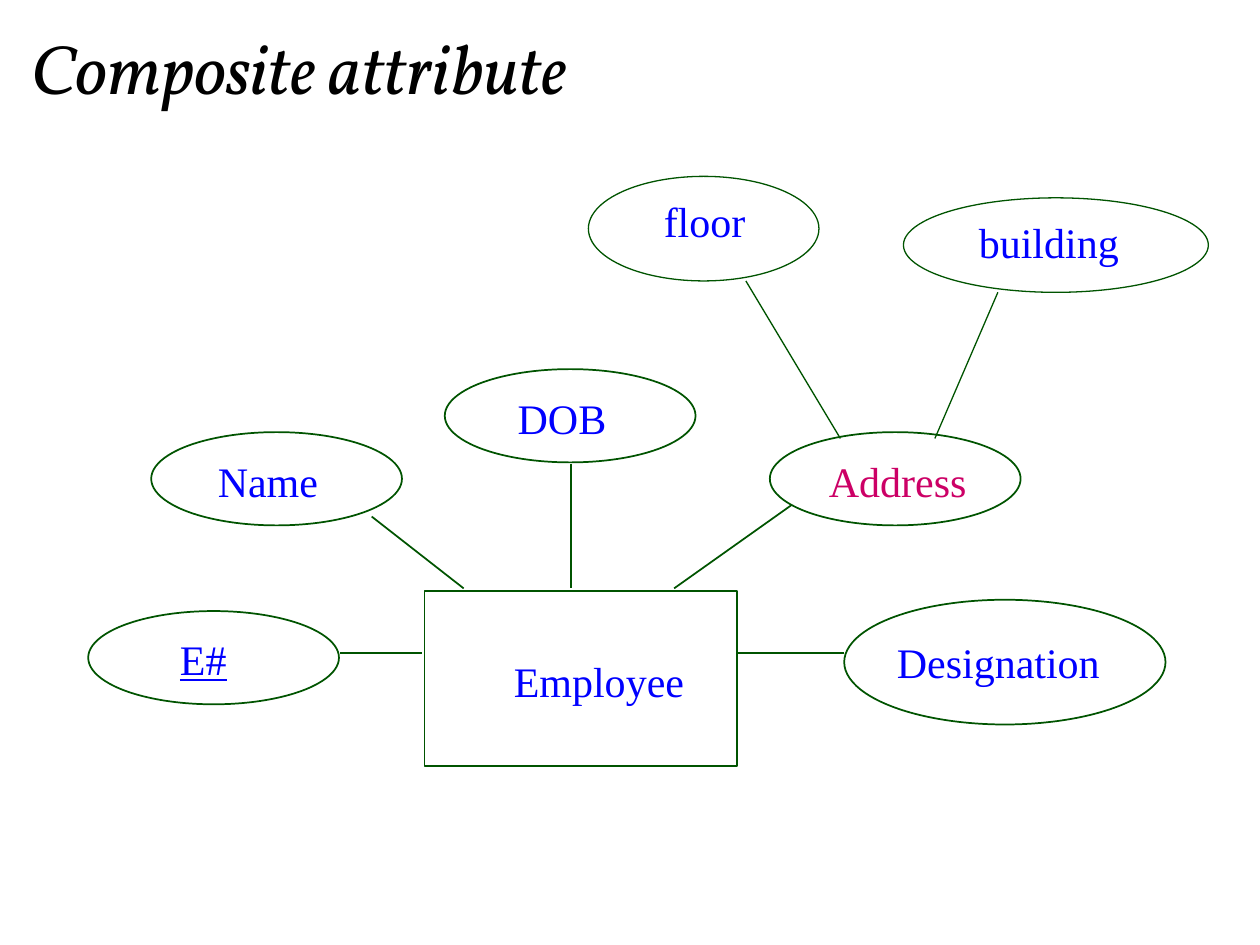
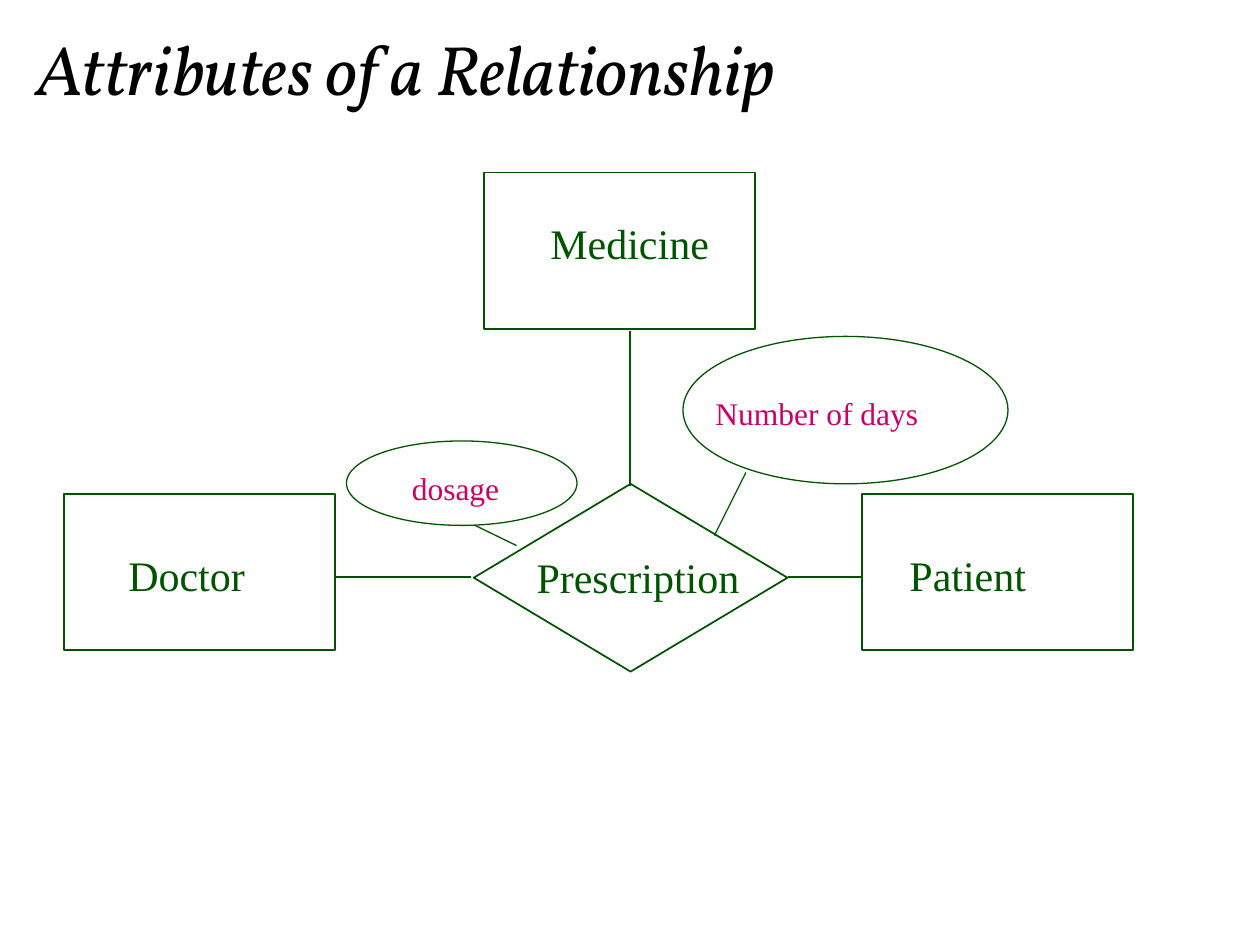
from dataclasses import dataclass

from lxml import etree
from pptx import Presentation
from pptx.dml.color import RGBColor
from pptx.enum.shapes import MSO_CONNECTOR, MSO_SHAPE
from pptx.enum.text import MSO_ANCHOR, MSO_AUTO_SIZE, PP_ALIGN
from pptx.oxml.ns import qn
from pptx.util import Inches, Pt

# Shared look
BLACK = RGBColor(0x00, 0x00, 0x00)
GREEN = RGBColor(0x00, 0x54, 0x00)
BLUE = RGBColor(0x00, 0x00, 0xFF)
PINK = RGBColor(0xCC, 0x00, 0x66)
TITLE_FONT = {"name": "Vollkorn", "size": Pt(40), "italic": True, "bold": False}
LABEL_FONT = "Times New Roman"
NORMAL, THIN = 1, 0.75
TITLE_ONLY = 5

RECTANGLE = MSO_SHAPE.RECTANGLE
ELLIPSE = MSO_SHAPE.OVAL
DIAMOND = MSO_SHAPE.DIAMOND
STRAIGHT = MSO_CONNECTOR.STRAIGHT
MIDDLE = MSO_ANCHOR.MIDDLE
LEFT = PP_ALIGN.LEFT
NO_FIT = MSO_AUTO_SIZE.NONE
GROW = MSO_AUTO_SIZE.SHAPE_TO_FIT_TEXT


@dataclass
class Label:
    text: str
    left: float
    top: float
    width: float
    color: RGBColor
    size: int = 24
    wrap: bool = False
    underline: bool = False


@dataclass
class Node:
    kind: MSO_SHAPE
    left: float
    top: float
    width: float
    height: float
    label: Label
    weight: float = NORMAL


@dataclass
class Link:
    start: tuple[float, float]
    end: tuple[float, float]
    weight: float = NORMAL


@dataclass
class Diagram:
    title: str
    title_left: float
    title_top: float
    nodes: list[Node]
    links: list[Link]


def attribute(left: float, top: float, label: Label) -> Node:
    """An ellipse of the standard attribute size."""
    return Node(ELLIPSE, left, top, 1.99, 0.74, label)


def entity(left: float, top: float, label: Label) -> Node:
    """A rectangle of the standard entity size."""
    return Node(RECTANGLE, left, top, 2.15, 1.24, label)


COMPOSITE = Diagram(
    "Composite attribute", 0.25, 0.25,
    nodes=[
        Node(RECTANGLE, 3.37, 4.69, 2.48, 1.39, Label("Employee", 3.98, 5.15, 1.56, BLUE)),
        attribute(1.2, 3.43, Label("Name", 1.63, 3.57, 1.01, BLUE)),
        attribute(0.7, 4.85, Label("E#", 1.33, 4.98, 0.58, BLUE, underline=True)),
        Node(ELLIPSE, 6.7, 4.76, 2.55, 0.99,
             Label("Designation", 7.02, 5, 2.14, BLUE, wrap=True)),
        attribute(3.53, 2.93, Label("DOB", 4.01, 3.07, 0.92, BLUE)),
        attribute(6.11, 3.43, Label("Address", 6.48, 3.57, 1.3, PINK)),
        Node(ELLIPSE, 4.67, 1.4, 1.83, 0.83,
             Label("floor", 5.17, 1.5, 1.17, BLUE, wrap=True), THIN),
        Node(ELLIPSE, 7.17, 1.57, 2.42, 0.75,
             Label("building", 7.67, 1.67, 1.58, BLUE, wrap=True), THIN),
    ],
    links=[
        Link((2.7, 5.18), (3.35, 5.18)),
        Link((2.95, 4.1), (3.68, 4.67)),
        Link((4.53, 3.68), (4.53, 4.67)),
        Link((6.28, 4.01), (5.35, 4.67)),
        Link((6.7, 5.18), (5.85, 5.18)),
        Link((5.92, 2.23), (6.67, 3.48), THIN),
        Link((7.92, 2.32), (7.42, 3.48), THIN),
    ],
)

RELATIONSHIP = Diagram(
    "Attributes of a Relationship", 0.29, 0.26,
    nodes=[
        entity(0.51, 3.92, Label("Doctor", 0.92, 4.31, 1.14, GREEN)),
        entity(6.84, 3.92, Label("Patient", 7.12, 4.31, 1.14, GREEN)),
        entity(3.84, 1.37, Label("Medicine", 4.27, 1.68, 1.47, GREEN)),
        Node(DIAMOND, 3.76, 3.84, 2.49, 1.49,
             Label("Prescription", 4.16, 4.33, 1.82, GREEN)),
        Node(ELLIPSE, 2.75, 3.5, 1.83, 0.67,
             Label("dosage", 3.17, 3.67, 1.17, PINK, 18, wrap=True), THIN),
        Node(ELLIPSE, 5.42, 2.67, 2.58, 1.17,
             Label("Number of days", 5.58, 3.08, 2.17, PINK, 18, wrap=True), THIN),
    ],
    links=[
        Link((5, 2.63), (5, 3.86)),
        Link((2.67, 4.58), (3.74, 4.58)),
        Link((6.25, 4.58), (6.83, 4.58)),
        Link((3.77, 4.17), (4.1, 4.33), THIN),
        Link((5.67, 4.25), (5.92, 3.75), THIN),
    ],
)


def format_font(font, values: dict, color: RGBColor) -> None:
    for name, value in values.items():
        setattr(font, name, value)
    font.color.rgb = color


def draw_outline(line, weight: float) -> None:
    line.color.rgb = GREEN
    line.width = Pt(weight)


def draw_title(page, diagram: Diagram) -> None:
    title = page.shapes.title
    title.left, title.top = Inches(diagram.title_left), Inches(diagram.title_top)
    title.width, title.height = Inches(9.38), Inches(0.56)
    frame = title.text_frame
    frame.text = diagram.title
    frame.auto_size = NO_FIT
    frame.vertical_anchor = MIDDLE
    frame.margin_left = 0
    para = frame.paragraphs[0]
    para.alignment = LEFT
    format_font(para.runs[0].font, TITLE_FONT, BLACK)


def draw_label(page, label: Label) -> None:
    height = 0.5 if label.size == 24 else 0.4
    box = page.shapes.add_textbox(Inches(label.left), Inches(label.top),
                                  Inches(label.width), Inches(height))
    frame = box.text_frame
    frame.text = label.text
    frame.word_wrap = label.wrap
    frame.auto_size = GROW
    values = {"name": LABEL_FONT, "size": Pt(label.size), "underline": label.underline}
    format_font(frame.paragraphs[0].runs[0].font, values, label.color)


def draw_node(page, node: Node) -> None:
    shape = page.shapes.add_shape(node.kind, Inches(node.left), Inches(node.top),
                                  Inches(node.width), Inches(node.height))
    shape.shadow.inherit = False
    shape.fill.background()
    draw_outline(shape.line, node.weight)
    draw_label(page, node.label)


def draw_link(page, link: Link) -> None:
    points = [Inches(value) for value in (*link.start, *link.end)]
    connector = page.shapes.add_connector(STRAIGHT, *points)
    draw_outline(connector.line, link.weight)
    # An empty effect list removes the theme shadow
    etree.SubElement(connector._element.spPr, qn("a:effectLst"))


def main() -> None:
    deck = Presentation()
    deck.slide_width, deck.slide_height = Inches(10), Inches(7.5)
    for diagram in (COMPOSITE, RELATIONSHIP):
        page = deck.slides.add_slide(deck.slide_layouts[TITLE_ONLY])
        draw_title(page, diagram)
        for node in diagram.nodes:
            draw_node(page, node)
        for link in diagram.links:
            draw_link(page, link)
    deck.save("out.pptx")


if __name__ == "__main__":
    main()
